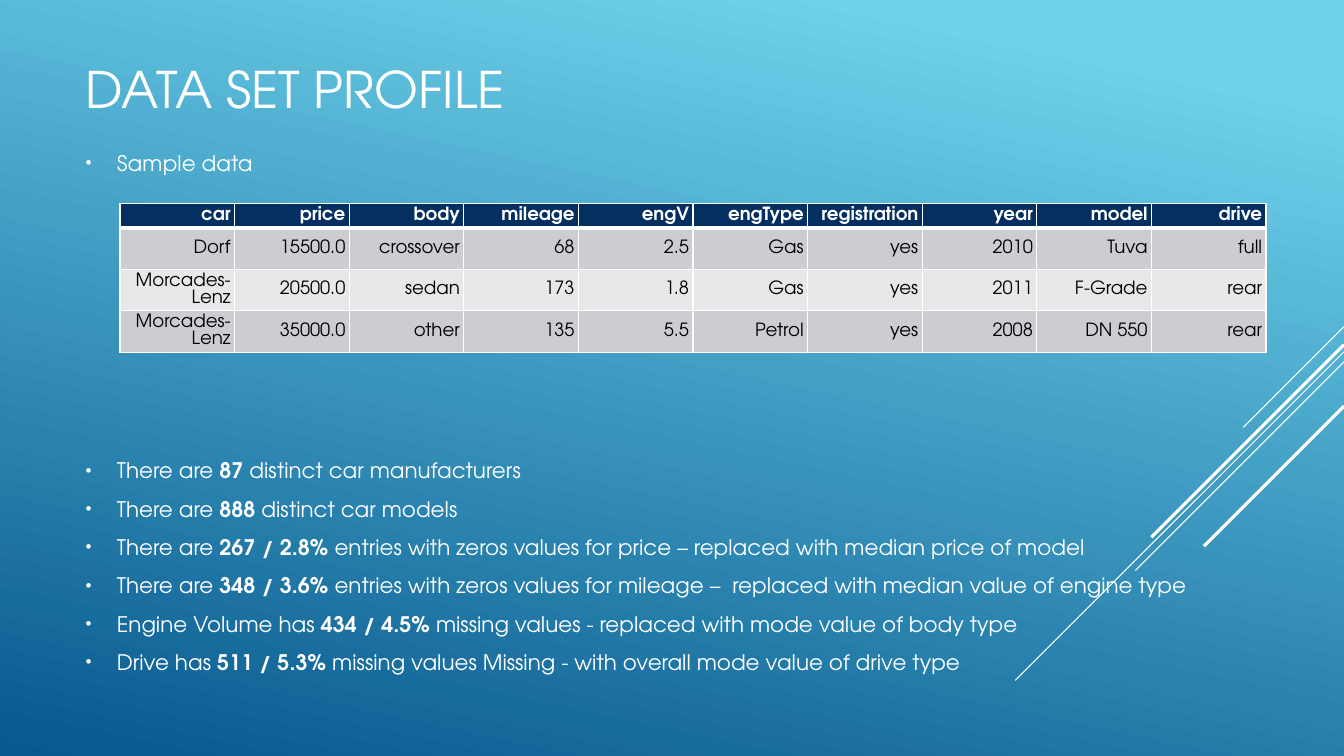
"""Build the data set profile slide: title, bullets, sample table and diagonal lines."""
from lxml.etree import SubElement
from pptx import Presentation
from pptx.dml.color import RGBColor
from pptx.enum.shapes import MSO_CONNECTOR
from pptx.enum.text import MSO_ANCHOR, MSO_AUTO_SIZE, PP_ALIGN
from pptx.oxml.ns import qn
from pptx.util import Inches, Pt

FONT = "TeX Gyre Adventor"
WHITE, BLACK, NAVY = "FFFFFF", "000000", "052F61"
BAND_FILLS = ["CCCDD2", "E7E8EA"]
BACKGROUND = [(0.1, "6ED2EB"), (1.0, "06588E")]

TITLE = "DATA SET PROFILE"
BULLETS = [
    ("Sample data", "", ""),
    ("There are ", "87", " distinct car manufacturers"),
    ("There are ", "888", " distinct car models"),
    ("There are ", "267 / 2.8% ",
     "entries with zeros values for price – replaced with median price of model"),
    ("There are ", "348 / 3.6% ",
     "entries with zeros values for mileage –  replaced with median value of engine type"),
    ("Engine Volume has ", "434 / 4.5% ",
     "missing values - replaced with mode value of body type"),
    ("Drive has ", "511 / 5.3% ",
     "missing values Missing - with overall mode value of drive type"),
]
TABLE = [
    ["car", "price", "body", "mileage", "engV", "engType", "registration", "year", "model", "drive"],
    ["Dorf", "15500.0", "crossover", "68", "2.5", "Gas", "yes", "2010", "Tuva", "full"],
    ["Morcades-Lenz", "20500.0", "sedan", "173", "1.8", "Gas", "yes", "2011", "F-Grade", "rear"],
    ["Morcades-Lenz", "35000.0", "other", "135", "5.5", "Petrol", "yes", "2008", "DN 550", "rear"],
]
DIAGONALS = [
    (3.24, 1.0, 0.75),
    (3.49, 3.26, 0.75),
    (3.59, 2.07, 0.75),
    (3.42, 1.91, 2.25),
    (4.03, 1.39, 2.25),
]
SLIDE_WIDTH, SLIDE_HEIGHT = 13.33, 7.5
TABLE_LEFT, TABLE_TOP, TABLE_WIDTH = 1.19, 2.02, 11.37
HEADER_HEIGHT, ROW_HEIGHT = 0.24, 0.41
TABLE_GAP = 195


def color(value):
    return RGBColor.from_string(value)


def add_text(para, text, size=15.3, fill=WHITE, bold=False):
    span = para.add_run()
    span.text = text
    span.font.name = FONT
    span.font.size = Pt(size)
    span.font.bold = bold
    span.font.color.rgb = color(fill)


def place(box, left, top, width, height):
    box.left, box.top = Inches(left), Inches(top)
    box.width, box.height = Inches(width), Inches(height)
    box.text_frame.word_wrap = True
    box.text_frame.auto_size = MSO_AUTO_SIZE.NONE


def add_bullet(para):
    properties = para._p.get_or_add_pPr()
    properties.set("marL", str(Inches(0.31)))
    properties.set("indent", str(Inches(-0.31)))
    bullet_color = SubElement(properties, qn("a:buClr"))
    SubElement(bullet_color, qn("a:srgbClr"), val=WHITE)
    SubElement(properties, qn("a:buSzPct"), val="80000")
    SubElement(properties, qn("a:buFont"), typeface="Arial")
    SubElement(properties, qn("a:buChar"), char="•")


def add_borders(cell, bottom):
    properties = cell._tc.get_or_add_tcPr()
    for side, width in (("L", 1), ("R", 1), ("T", 1), ("B", bottom)):
        edge = SubElement(properties, qn(f"a:ln{side}"), w=str(Pt(width)))
        fill = SubElement(edge, qn("a:solidFill"))
        SubElement(fill, qn("a:srgbClr"), val=WHITE)


def paint_background(page):
    fill = page.background.fill
    fill.gradient()
    fill.gradient_angle = 258
    for stop, (position, value) in zip(fill.gradient_stops, BACKGROUND):
        stop.position = position
        stop.color.rgb = color(value)


def add_diagonals(page):
    for top, reach, weight in DIAGONALS:
        line = page.shapes.add_connector(
            MSO_CONNECTOR.STRAIGHT, Inches(SLIDE_WIDTH), Inches(top),
            Inches(SLIDE_WIDTH - reach), Inches(top + reach))
        line.line.color.rgb = color(WHITE)
        line.line.width = Pt(weight)
        SubElement(line._element.spPr, qn("a:effectLst"))
        page.shapes._spTree.insert(2, line._element)


def fill_title(box):
    place(box, 0.75, 0.41, 9.33, 0.82)
    box.text_frame.vertical_anchor = MSO_ANCHOR.BOTTOM
    para = box.text_frame.paragraphs[0]
    para.alignment = PP_ALIGN.LEFT
    add_text(para, TITLE, size=36)


def fill_body(box):
    place(box, 0.75, 1.44, 12.36, 5.11)
    frame = box.text_frame
    frame.vertical_anchor = MSO_ANCHOR.TOP
    for index, parts in enumerate(BULLETS):
        para = frame.add_paragraph() if index else frame.paragraphs[0]
        add_bullet(para)
        para.line_spacing = 1.0
        para.space_before = Pt((0, TABLE_GAP)[index] if index < 2 else 3)
        para.space_after = Pt(6)
        for text, bold in zip(parts, (False, True, False)):
            if text:
                add_text(para, text, bold=bold)


def add_sample_table(page):
    rows, columns = len(TABLE), len(TABLE[0])
    table = page.shapes.add_table(
        rows, columns, Inches(TABLE_LEFT), Inches(TABLE_TOP), Inches(TABLE_WIDTH),
        Inches(HEADER_HEIGHT + ROW_HEIGHT * (rows - 1))).table
    table.horz_banding = False
    for column in table.columns:
        column.width = Inches(TABLE_WIDTH / columns)
    for row_index, values in enumerate(TABLE):
        header = row_index == 0
        table.rows[row_index].height = Inches(HEADER_HEIGHT if header else ROW_HEIGHT)
        for column_index, value in enumerate(values):
            cell = table.cell(row_index, column_index)
            cell.margin_left = cell.margin_right = Inches(0.04)
            cell.margin_top = cell.margin_bottom = Inches(0.04)
            cell.vertical_anchor = MSO_ANCHOR.MIDDLE
            add_borders(cell, bottom=3 if header else 1)
            cell.fill.solid()
            cell.fill.fore_color.rgb = color(NAVY if header else BAND_FILLS[(row_index - 1) % 2])
            para = cell.text_frame.paragraphs[0]
            para.alignment = PP_ALIGN.RIGHT
            para.line_spacing = Pt(11.8)
            add_text(para, value, size=13, fill=WHITE if header else BLACK, bold=header)


def main():
    deck = Presentation()
    deck.slide_width, deck.slide_height = Inches(SLIDE_WIDTH), Inches(SLIDE_HEIGHT)
    page = deck.slides.add_slide(deck.slide_layouts[1])
    paint_background(page)
    add_diagonals(page)
    fill_title(page.shapes.title)
    fill_body(page.placeholders[1])
    add_sample_table(page)
    deck.save("out.pptx")


if __name__ == "__main__":
    main()
